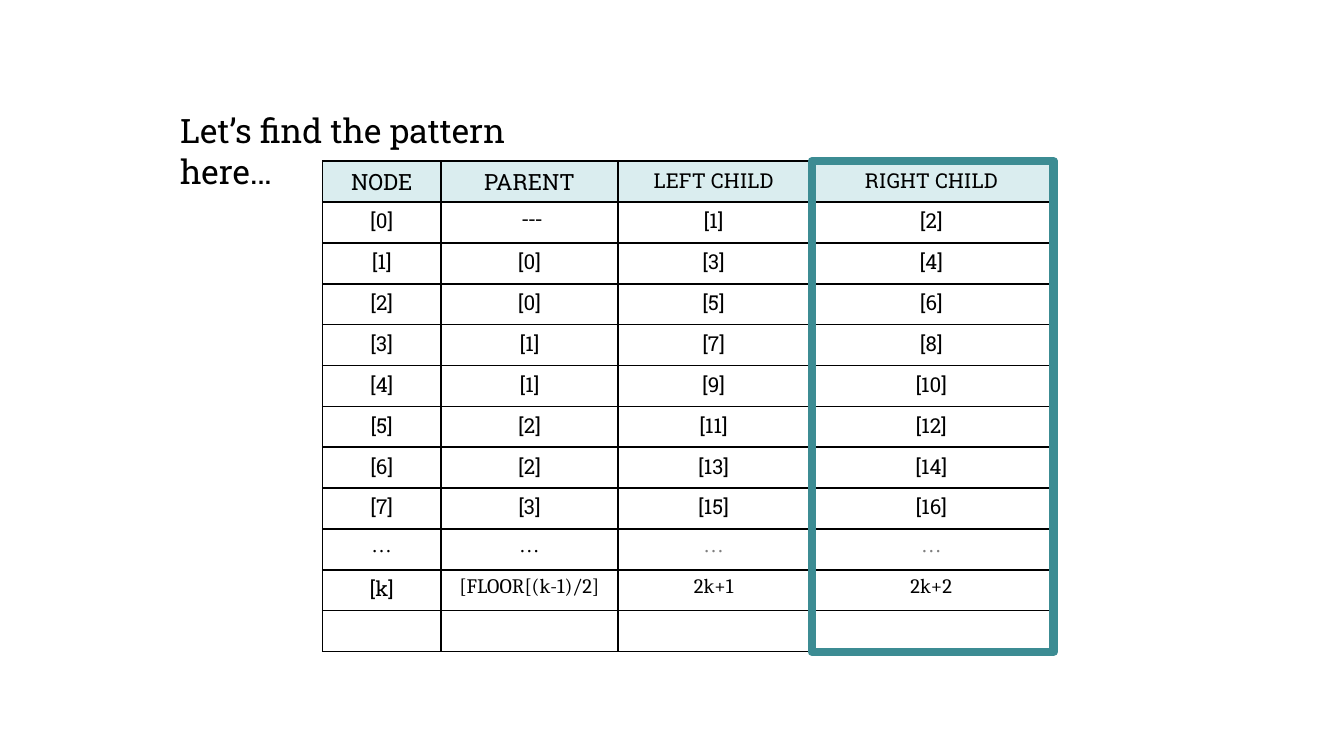
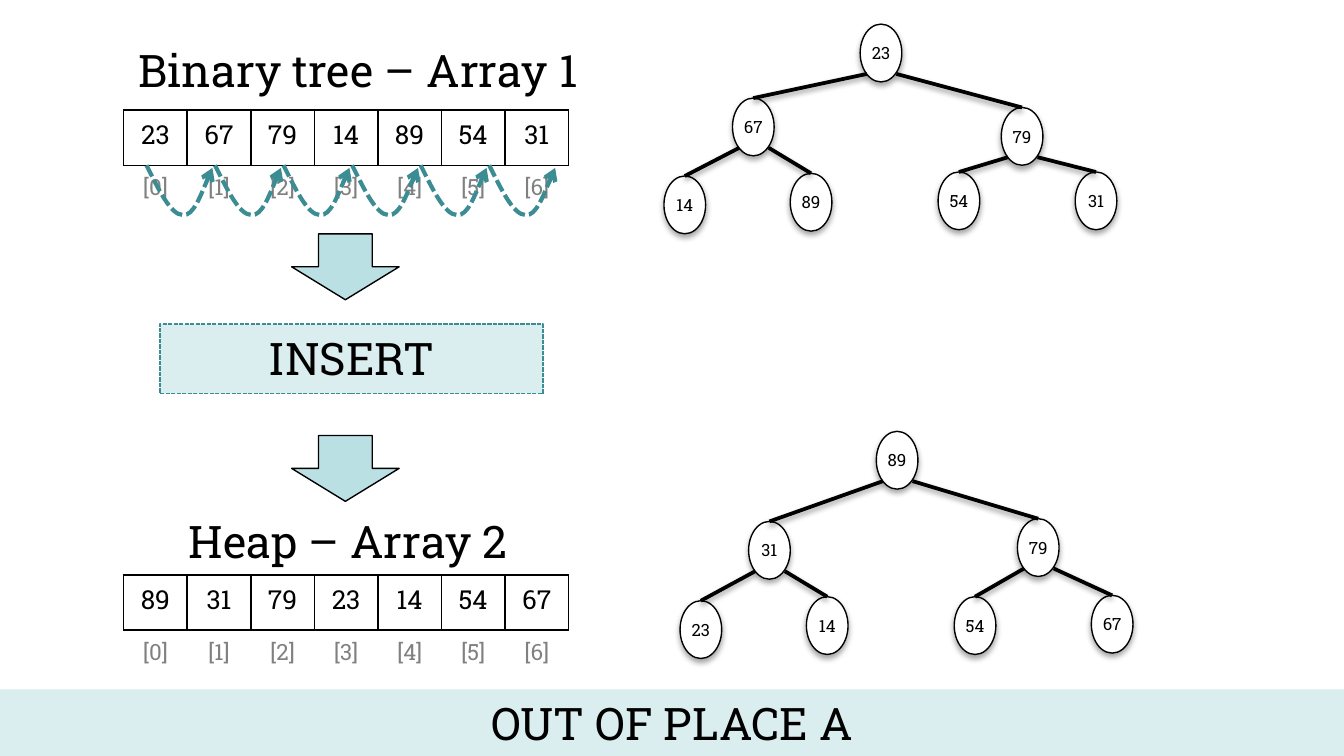
"""Builds two slides on heaps stored in arrays."""
import lxml.etree
import pptx
import pptx.dml.color
import pptx.enum.dml
import pptx.enum.shapes
import pptx.enum.text
import pptx.oxml.ns
import pptx.util

Inches = pptx.util.Inches
Pt = pptx.util.Pt
RGBColor = pptx.dml.color.RGBColor
PRESET = pptx.enum.shapes.MSO_SHAPE
ALIGN = pptx.enum.text.PP_ALIGN
ANCHOR = pptx.enum.text.MSO_ANCHOR
SQUARE_DOT = pptx.enum.dml.MSO_LINE.SQUARE_DOT
qn = pptx.oxml.ns.qn

SLIDE_WIDTH = Inches(10)
SLIDE_HEIGHT = SLIDE_WIDTH * 9 // 16

BLACK = RGBColor(0x00, 0x00, 0x00)
WHITE = RGBColor(0xFF, 0xFF, 0xFF)
GRAY = RGBColor(0x80, 0x80, 0x80)
ELLIPSIS_GRAY = RGBColor(0x7F, 0x7F, 0x7F)
TEAL = RGBColor(0x3C, 0x8C, 0x93)
PALE_TEAL = RGBColor(0xDA, 0xED, 0xEF)
ARROW_TEAL = RGBColor(0xBB, 0xE0, 0xE3)

SLAB, TIMES, CAMBRIA = "Roboto Slab", "Times New Roman", "Cambria"
HEADING_SIZE = 24
FRAME_FORMAT = {
    "word_wrap": True,
    "auto_size": pptx.enum.text.MSO_AUTO_SIZE.NONE,
    "vertical_anchor": ANCHOR.TOP,
}
NODE_FRAME_FORMAT = {
    "word_wrap": False,
    "vertical_anchor": ANCHOR.MIDDLE,
    "margin_left": Inches(0.04),
    "margin_right": Inches(0.04),
}
PATTERN_CELL_FORMAT = {
    "margin_left": Inches(0.07),
    "margin_right": Inches(0.07),
    "margin_top": Inches(0.04),
    "margin_bottom": Inches(0.04),
}
TABLE_FORMAT = {"first_row": False, "horz_banding": False}

PATTERN_WIDTHS = (0.88, 1.32, 1.42, 1.82)
PATTERN_HEADER = ("NODE", "PARENT", "LEFT CHILD", "RIGHT CHILD")
PATTERN_FORMULAS = ("[k]", "[FLOOR[(k-1)/2]", "2k+1", "2k+2")
FRAME_WIDTH = 1.8
ARRAY_PITCH = 3.31 / 7
ARRAY_ROW_HEIGHT = 0.41
HOP_CURVE = ((0.09, 0.18), (0.18, 0.37), (0.27, 0.37),
             (0.35, 0.38), (0.49, 0.02), (0.49, 0.02))
NODE_LEFTS = (1.46, 0.51, 2.51, 0, 0.94, 2.04, 3.06)
NODE_WIDTH, NODE_HEIGHT = 0.31, 0.43


def apply_format(target, values):
    """Set each named attribute of the target."""
    for name, value in values.items():
        setattr(target, name, value)


def write(frame, text, size, color=BLACK, face=SLAB, align=ALIGN.CENTER):
    """Put one formatted paragraph in a text frame."""
    paragraph = frame.paragraphs[0]
    paragraph.alignment = align
    run = paragraph.add_run()
    run.text = text
    apply_format(run.font, {"size": Pt(size), "name": face, "bold": False})
    run.font.color.rgb = color


def place(shape, box):
    """Move a shape to a left, top, width, height box in inches."""
    names = ("left", "top", "width", "height")
    apply_format(shape, dict(zip(names, map(Inches, box))))


def add_title(slide, box, text, size, align):
    """Place the title placeholder and write the title."""
    place(slide.shapes.title, box)
    apply_format(slide.shapes.title.text_frame, FRAME_FORMAT)
    write(slide.shapes.title.text_frame, text, size, align=align)


def add_preset(shapes, preset, box, fill=None, line=None, width=0.75):
    """Add a preset shape without a shadow."""
    shape = shapes.add_shape(preset, *map(Inches, box))
    shape.shadow.inherit = False
    if fill is None:
        shape.fill.background()
    else:
        shape.fill.solid()
        shape.fill.fore_color.rgb = fill
    if line is None:
        shape.line.fill.background()
    else:
        shape.line.color.rgb = line
        shape.line.width = Pt(width)
    return shape


def add_banner(slide, box, text, line=None):
    """Add a pale rectangle with a large caption."""
    banner = add_preset(slide.shapes, PRESET.RECTANGLE, box, PALE_TEAL, line)
    if line is not None:
        banner.line.dash_style = SQUARE_DOT
    apply_format(banner.text_frame, FRAME_FORMAT)
    write(banner.text_frame, text, HEADING_SIZE)


def set_borders(cell, sides):
    """Draw black borders on the given sides and none on the others."""
    properties = cell._tc.get_or_add_tcPr()
    for side in "LRTB":
        border = lxml.etree.SubElement(properties, qn(f"a:ln{side}"), w=str(Pt(1)))
        if side in sides:
            fill = lxml.etree.SubElement(border, qn("a:solidFill"))
            lxml.etree.SubElement(fill, qn("a:srgbClr"), val=str(BLACK))
        else:
            lxml.etree.SubElement(border, qn("a:noFill"))


def add_grid(slide, left, top, widths, row_height, row_count):
    """Add a plain table of equal rows."""
    grid = slide.shapes.add_table(
        row_count, len(widths), Inches(left), Inches(top),
        Inches(sum(widths)), Inches(row_height * row_count)).table
    apply_format(grid, TABLE_FORMAT)
    for column, width in zip(grid.columns, widths):
        column.width = Inches(width)
    for row in grid.rows:
        row.height = Inches(row_height)
    return grid


def pattern_style(row, column, text):
    """Give the size, colour and font of a pattern table cell."""
    size = 12 if row == 0 and column < 2 else 11
    color = ELLIPSIS_GRAY if text == "…" and column > 1 else BLACK
    face = SLAB
    if text in ("…", " ---"):
        face = TIMES
    elif text in PATTERN_FORMULAS[1:]:
        face = CAMBRIA
    return size, color, face


def add_pattern_table(slide, box):
    """Add the table of parents and children, with its last column framed."""
    left, top, width, height = box
    rows = [PATTERN_HEADER]
    for node in range(8):
        parent = f"[{(node - 1) // 2}]" if node else " ---"
        rows.append((f"[{node}]", parent, f"[{2 * node + 1}]", f"[{2 * node + 2}]"))
    rows += [("…",) * 4, PATTERN_FORMULAS, ("",) * 4]
    grid = add_grid(slide, left, top, PATTERN_WIDTHS, height / len(rows), len(rows))
    for row, texts in enumerate(rows):
        for column, text in enumerate(texts):
            cell = grid.cell(row, column)
            apply_format(cell, PATTERN_CELL_FORMAT)
            set_borders(cell, "LRTB")
            if row == 0:
                cell.fill.solid()
                cell.fill.fore_color.rgb = PALE_TEAL
            else:
                cell.fill.background()
            if text:
                write(cell.text_frame, text, *pattern_style(row, column, text))
            else:
                lxml.etree.SubElement(
                    cell.text_frame.paragraphs[0]._p, qn("a:endParaRPr"), sz="1100")
    add_preset(slide.shapes, PRESET.RECTANGLE,
               (left + width - FRAME_WIDTH, top, FRAME_WIDTH, height),
               line=TEAL, width=4.5)


def add_array(slide, left, top, values):
    """Add a row of array values above their indexes."""
    grid = add_grid(slide, left, top, [ARRAY_PITCH] * len(values), ARRAY_ROW_HEIGHT, 2)
    for column, value in enumerate(values):
        for row, (text, size, color, sides) in enumerate((
                (str(value), 14, BLACK, "LRTB"), (f"[{column}]", 12, GRAY, "T"))):
            cell = grid.cell(row, column)
            set_borders(cell, sides)
            cell.fill.background()
            write(cell.text_frame, text, size, color)


def add_hop(slide, left, top):
    """Add a dashed curved arrow from one array item to the next."""
    builder = slide.shapes.build_freeform(Inches(left), Inches(top))
    builder.add_line_segments(
        [(Inches(left + x), Inches(top + y)) for x, y in HOP_CURVE], close=False)
    hop = builder.convert_to_shape()
    hop.shadow.inherit = False
    hop.fill.background()
    hop.line.color.rgb = TEAL
    apply_format(hop.line, {"width": Pt(2.25), "dash_style": SQUARE_DOT})
    outline = hop._element.spPr.find(qn("a:ln"))
    lxml.etree.SubElement(outline, qn("a:tailEnd"), type="arrow")
    segments = list(hop._element.iter(qn("a:lnTo")))
    for start in range(0, len(segments), 3):
        curve = lxml.etree.SubElement(segments[start].getparent(), qn("a:cubicBezTo"))
        for segment in segments[start:start + 3]:
            curve.append(segment[0])
            segment.getparent().remove(segment)


def add_shadow(shape, distance, opacity):
    """Give a shape or connector a soft shadow straight below it."""
    properties = shape._element.spPr
    effects = properties.find(qn("a:effectLst"))
    if effects is None:
        effects = lxml.etree.SubElement(properties, qn("a:effectLst"))
    shadow = lxml.etree.SubElement(
        effects, qn("a:outerShdw"), blurRad=str(Pt(3.1)), dist=str(Pt(distance)),
        dir="5400000", rotWithShape="0")
    color = lxml.etree.SubElement(shadow, qn("a:srgbClr"), val=str(BLACK))
    lxml.etree.SubElement(color, qn("a:alpha"), val=str(opacity * 1000))


def add_tree(slide, left, top, values, drops):
    """Add a binary tree whose nodes sit at the given drops below the top."""
    tree = slide.shapes.add_group_shape().shapes
    spots = [(left + x, top + y) for x, y in zip(NODE_LEFTS, drops)]
    for index, (value, (x, y)) in enumerate(zip(values, spots)):
        node = add_preset(tree, PRESET.OVAL, (x, y, NODE_WIDTH, NODE_HEIGHT), WHITE, BLACK)
        add_shadow(node, 1.8, 35)
        apply_format(node.text_frame, NODE_FRAME_FORMAT)
        write(node.text_frame, str(value), 9)
        if index:
            parent_x, parent_y = spots[(index - 1) // 2]
            exit_x = parent_x + (0.05 if index % 2 else 0.27)
            branch = tree.add_connector(
                pptx.enum.shapes.MSO_CONNECTOR.STRAIGHT, Inches(exit_x),
                Inches(parent_y + 0.37), Inches(x + NODE_WIDTH / 2), Inches(y))
            branch.line.color.rgb = BLACK
            branch.line.width = Pt(2)
            add_shadow(branch, 1.6, 38)


def build_pattern_slide(slide):
    """Fill the slide about the index pattern."""
    add_title(slide, (1.24, 0.77, 3.31, 0.4), "Let’s find the pattern here…",
              18, ALIGN.LEFT)
    add_pattern_table(slide, (2.4, 1.2, 5.44, 3.65))


def build_heap_slide(slide):
    """Fill the slide that turns an array into a heap."""
    add_title(slide, (0.72, 0.27, 3.89, 0.52), "Binary tree – Array 1",
              HEADING_SIZE, ALIGN.CENTER)
    tree_values = (23, 67, 79, 14, 89, 54, 31)
    heap_values = (89, 31, 79, 23, 14, 54, 67)
    add_array(slide, 0.92, 4.28, heap_values)
    add_array(slide, 0.92, 0.82, tree_values)
    for step in range(len(tree_values) - 1):
        add_hop(slide, 1.09 + 0.51 * step, 1.23)
    for top in (1.74, 3.24):
        add_preset(slide.shapes, PRESET.DOWN_ARROW, (2.17, top, 0.8, 0.49),
                   ARROW_TEAL, BLACK)
    add_banner(slide, (1.19, 2.41, 2.85, 0.52), "INSERT", TEAL)
    add_tree(slide, 4.94, 0.18, tree_values, (0, 0.55, 0.62, 1.13, 1.11, 1.1, 1.1))
    add_tree(slide, 5.06, 3.21, heap_values, (0, 0.67, 0.65, 1.26, 1.23, 1.23, 1.22))
    add_banner(slide, (0, 5.13, 10, 0.52), "OUT OF PLACE A")
    heap_heading = slide.shapes.add_textbox(*map(Inches, (1.3, 3.77, 2.58, 0.52)))
    apply_format(heap_heading.text_frame, FRAME_FORMAT)
    write(heap_heading.text_frame, "Heap – Array 2", HEADING_SIZE)


def main():
    """Build and save the presentation."""
    deck = pptx.Presentation()
    apply_format(deck, {"slide_width": SLIDE_WIDTH, "slide_height": SLIDE_HEIGHT})
    title_only = deck.slide_layouts.get_by_name("Title Only")
    for build in (build_pattern_slide, build_heap_slide):
        build(deck.slides.add_slide(title_only))
    deck.save("out.pptx")


main()
